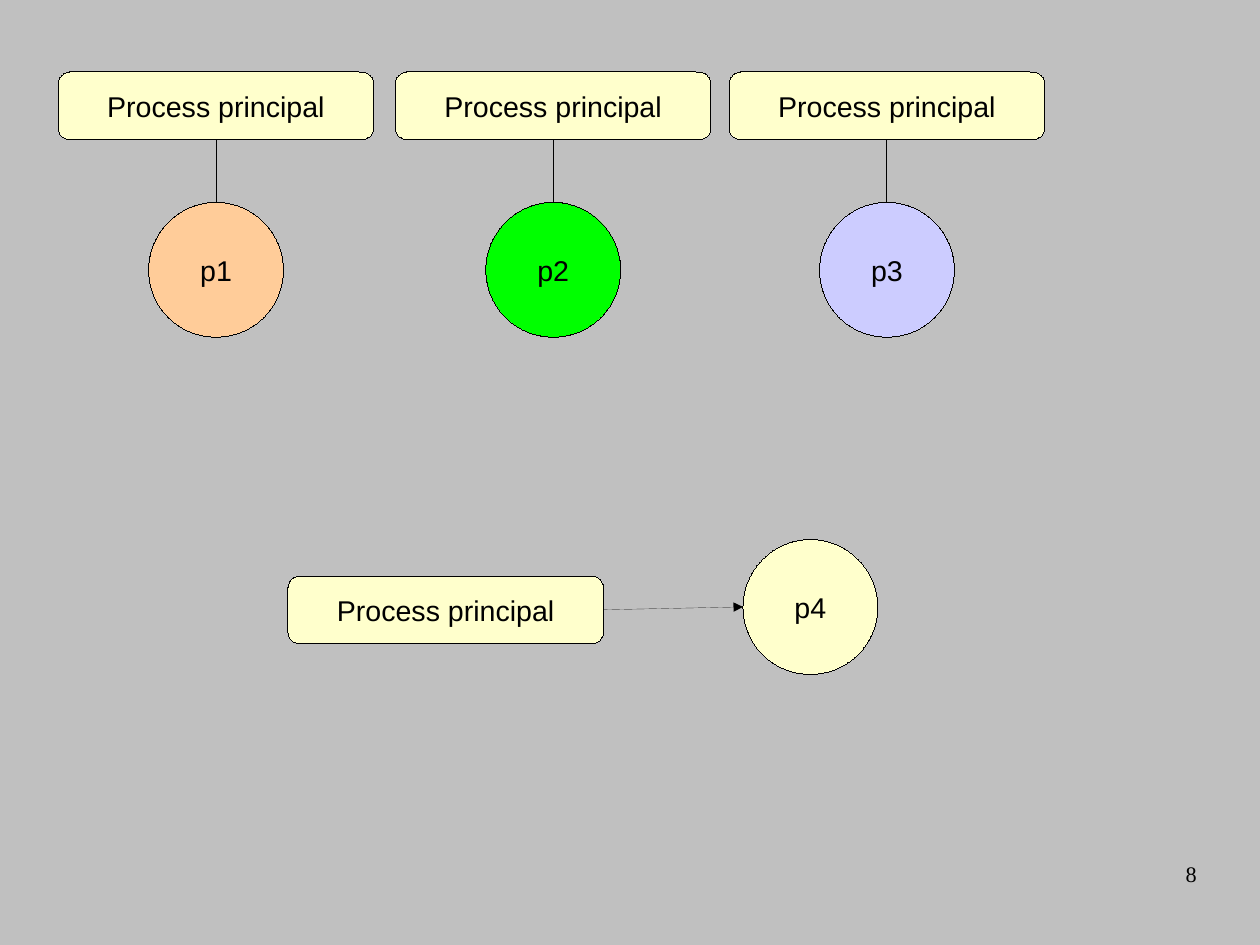
import pptx
import pptx.dml.color
import pptx.enum.shapes
import pptx.enum.text
import pptx.oxml
import pptx.oxml.ns
import pptx.util

Inches = pptx.util.Inches
Pt = pptx.util.Pt
RGBColor = pptx.dml.color.RGBColor
MSO_SHAPE = pptx.enum.shapes.MSO_SHAPE
PP_ALIGN = pptx.enum.text.PP_ALIGN

GREY = RGBColor(0xC0, 0xC0, 0xC0)
BLACK = RGBColor(0x00, 0x00, 0x00)
CREAM = RGBColor(0xFF, 0xFF, 0xCC)
PEACH = RGBColor(0xFF, 0xCC, 0x99)
GREEN = RGBColor(0x00, 0xFF, 0x00)
LILAC = RGBColor(0xCC, 0xCC, 0xFF)

CM_PER_INCH = 2.54
HAIRLINE = Pt(0.01)
BOX_W, BOX_H = 2.76, 0.59
CIRCLE = 1.18
DROP = 0.55


def write(tf, text, font, size, align):
    """Put one run of black text in the first paragraph of a frame."""
    tf.word_wrap = True
    p = tf.paragraphs[0]
    p.alignment = align
    r = p.add_run()
    r.text = text
    r.font.name = font
    r.font.size = Pt(size)
    r.font.color.rgb = BLACK


def add_node(shapes, kind, x, y, w, h, text, color):
    """Add a filled, hairline-edged shape with a centred label."""
    sp = shapes.add_shape(kind, Inches(x), Inches(y), Inches(w), Inches(h))
    sp.shadow.inherit = False
    sp.fill.solid()
    sp.fill.fore_color.rgb = color
    sp.line.color.rgb = BLACK
    sp.line.width = HAIRLINE
    sp.text_frame.vertical_anchor = pptx.enum.text.MSO_ANCHOR.MIDDLE
    write(sp.text_frame, text, "Arial", 18, PP_ALIGN.CENTER)
    return sp


def add_process(shapes, x, y):
    """Add a main process box at the given corner."""
    sp = add_node(shapes, MSO_SHAPE.ROUNDED_RECTANGLE, x, y, BOX_W, BOX_H,
                  "Process principal", CREAM)
    sp.adjustments[0] = 0.17
    return sp


def add_circle(shapes, x, y, text, color):
    """Add a child process circle at the given corner."""
    return add_node(shapes, MSO_SHAPE.OVAL, x, y, CIRCLE, CIRCLE, text, color)


def add_link(shapes, x1, y1, x2, y2):
    """Add a black hairline connector without shadow."""
    line = shapes.add_connector(pptx.enum.shapes.MSO_CONNECTOR.STRAIGHT,
                                Inches(x1), Inches(y1), Inches(x2), Inches(y2))
    line.line.color.rgb = BLACK
    line.line.width = HAIRLINE
    line._element.spPr.append(pptx.oxml.parse_xml(
        "<a:effectLst %s/>" % pptx.oxml.ns.nsdecls("a")))
    return line


def add_column(s, x, y, text, color):
    """Draw a process box with its circle hanging below it."""
    shapes = s.shapes.add_group_shape().shapes
    mid = x + BOX_W / 2
    top = y + BOX_H + DROP
    box = add_process(shapes, x, y)
    line = add_link(shapes, mid, y + BOX_H, mid, top)
    circle = add_circle(shapes, mid - CIRCLE / 2, top, text, color)
    line.begin_connect(box, 2)
    line.end_connect(circle, 0)


def add_row(s, x, y, text, color):
    """Draw a process box with an arrow to the circle on its right."""
    shapes = s.shapes.add_group_shape().shapes
    circle_x, circle_y = x + 3.98, y - 0.32
    box = add_process(shapes, x, y)
    add_circle(shapes, circle_x, circle_y, text, color)
    line = add_link(shapes, x + BOX_W, y + BOX_H / 2,
                    circle_x, circle_y + CIRCLE / 2)
    line.begin_connect(box, 3)
    line.line._get_or_add_ln().append(pptx.oxml.parse_xml(
        '<a:tailEnd %s type="triangle"/>' % pptx.oxml.ns.nsdecls("a")))


def add_number(s, x, y, w, h, text):
    """Write the slide number at the right of the given box."""
    tf = s.shapes.add_textbox(Inches(x), Inches(y), Inches(w), Inches(h)).text_frame
    tf.margin_left = tf.margin_right = tf.margin_top = tf.margin_bottom = 0
    write(tf, text, "Times New Roman", 14, PP_ALIGN.RIGHT)


def main():
    """Build the slide and save it."""
    prs = pptx.Presentation()
    prs.slide_width = Inches(28 / CM_PER_INCH)
    prs.slide_height = Inches(21 / CM_PER_INCH)
    s = prs.slides.add_slide(prs.slide_layouts[6])
    s.background.fill.solid()
    s.background.fill.fore_color.rgb = GREY
    for x, text, color in ((0.51, "p1", PEACH), (3.46, "p2", GREEN),
                           (6.38, "p3", LILAC)):
        add_column(s, x, 0.63, text, color)
    add_row(s, 2.52, 5.04, "p4", CREAM)
    add_number(s, 7.9, 7.53, 2.57, 0.57, "8")
    prs.save("out.pptx")


if __name__ == "__main__":
    main()
